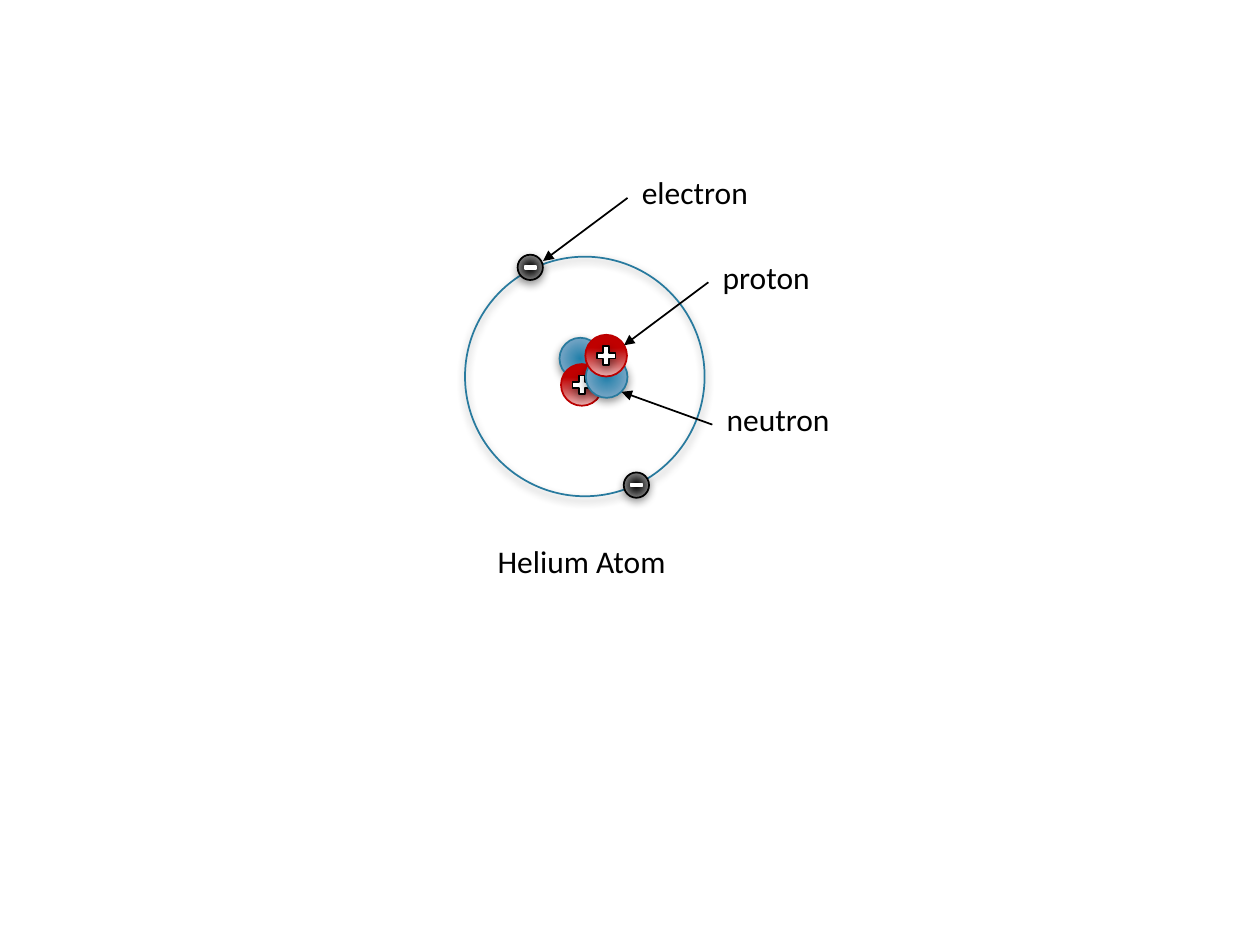
import pptx
import pptx.util
import pptx.dml.color
import pptx.enum.shapes
import pptx.enum.text
import pptx.oxml.ns
from lxml import etree

Cm = pptx.util.Cm
Pt = pptx.util.Pt
RGBColor = pptx.dml.color.RGBColor
SHAPE = pptx.enum.shapes.MSO_SHAPE
ALIGN = pptx.enum.text.PP_ALIGN
qn = pptx.oxml.ns.qn

BLACK = RGBColor(0x00, 0x00, 0x00)
WHITE = RGBColor(0xFF, 0xFF, 0xFF)
BLUE_LINE = RGBColor(0x28, 0x7A, 0x9E)
RED_LINE = RGBColor(0xBC, 0x00, 0x00)
NEUTRON_STOPS = [(0, RGBColor(0x21, 0x80, 0xAA)), (69, RGBColor(0x75, 0xA5, 0xC5)),
                 (100, RGBColor(0xB8, 0xCC, 0xDC))]
PROTON_STOPS = [(31, RGBColor(0xC0, 0x00, 0x00)), (100, RGBColor(0xEC, 0xB3, 0xB3))]
ELECTRON_STOPS = [(0, BLACK), (69, RGBColor(0x7F, 0x7F, 0x7F)),
                  (100, RGBColor(0xBD, 0xBD, 0xBD))]

NUCLEON_SIZE = 0.84
ELECTRON_SIZE = 0.51
ORBIT_SIZE = 4.83


def add_child(parent, tag, **attributes):
    values = {name: str(value) for name, value in attributes.items()}
    return etree.SubElement(parent, qn(tag), values)


def add_shadow(shape):
    effects = shape._element.spPr.find(qn("a:effectLst"))
    shadow = add_child(effects, "a:outerShdw", blurRad=Pt(5), dist=Pt(2),
                       dir=90 * 60000, rotWithShape=0)
    color = add_child(shadow, "a:srgbClr", val=BLACK)
    add_child(color, "a:alpha", val=40000)


def set_gradient(shape, stops, radial):
    shape.fill.gradient()
    gradient = shape._element.spPr.find(qn("a:gradFill"))
    for child in list(gradient):
        gradient.remove(child)
    stop_list = add_child(gradient, "a:gsLst")
    for percent, color in stops:
        stop = add_child(stop_list, "a:gs", pos=percent * 1000)
        add_child(stop, "a:srgbClr", val=color)
    if radial:
        circle = add_child(gradient, "a:path", path="circle")
        add_child(circle, "a:fillToRect", l=100000, t=100000, r=100000, b=100000)
    else:
        add_child(gradient, "a:lin", ang=90 * 60000, scaled=0)


def add_centred(page, kind, center, width, height, line_color, shadow=True):
    x, y = center
    shape = page.shapes.add_shape(kind, Cm(x - width / 2), Cm(y - height / 2),
                                  Cm(width), Cm(height))
    shape.shadow.inherit = False
    shape.fill.background()
    shape.line.color.rgb = line_color
    shape.line.width = Pt(1)
    if shadow:
        add_shadow(shape)
    return shape


def add_sign(page, kind, center, width, height, line_color):
    sign = add_centred(page, kind, center, width, height, line_color)
    sign.fill.solid()
    sign.fill.fore_color.rgb = WHITE


def add_neutron(page, center):
    ball = add_centred(page, SHAPE.OVAL, center, NUCLEON_SIZE, NUCLEON_SIZE, BLUE_LINE)
    set_gradient(ball, NEUTRON_STOPS, radial=True)


def add_proton(page, center):
    ball = add_centred(page, SHAPE.OVAL, center, NUCLEON_SIZE, NUCLEON_SIZE, RED_LINE,
                       shadow=False)
    set_gradient(ball, PROTON_STOPS, radial=False)
    add_sign(page, SHAPE.MATH_PLUS, center, 0.51, 0.51, BLACK)


def add_electron(page, center):
    ball = add_centred(page, SHAPE.OVAL, center, ELECTRON_SIZE, ELECTRON_SIZE, BLACK)
    set_gradient(ball, ELECTRON_STOPS, radial=True)
    add_sign(page, SHAPE.MATH_MINUS, center, 0.3, 0.25, WHITE)


def add_text(page, text, left, top, width, alignment=ALIGN.LEFT):
    box = page.shapes.add_textbox(Cm(left), Cm(top), Cm(width), Cm(1.02))
    frame = box.text_frame
    frame.word_wrap = True
    frame.auto_size = pptx.enum.text.MSO_AUTO_SIZE.SHAPE_TO_FIT_TEXT
    para = frame.paragraphs[0]
    para.alignment = alignment
    span = para.add_run()
    span.text = text
    span.font.name = "Calibri"
    span.font.size = Pt(18)
    span.font.color.rgb = BLACK


def add_callout(page, text, start, end):
    arrow = page.shapes.add_connector(pptx.enum.shapes.MSO_CONNECTOR.STRAIGHT,
                                      *map(Cm, start), *map(Cm, end))
    arrow.line.color.rgb = BLACK
    arrow.line.width = Pt(1)
    add_child(arrow.line._get_or_add_ln(), "a:tailEnd", type="triangle")
    add_child(arrow._element.spPr, "a:effectLst")
    add_text(page, text, start[0] + 0.04, start[1] - 0.62, 3.68)


def main():
    deck = pptx.Presentation()
    deck.slide_width = Cm(25.4)
    deck.slide_height = Cm(19.05)
    page = deck.slides.add_slide(deck.slide_layouts[6])

    add_neutron(page, (11.7, 7.23))
    add_proton(page, (11.73, 7.76))
    add_neutron(page, (12.23, 7.6))
    add_proton(page, (12.22, 7.17))
    add_centred(page, SHAPE.OVAL, (11.79, 7.59), ORBIT_SIZE, ORBIT_SIZE, BLUE_LINE)
    add_electron(page, (12.83, 9.78))
    add_electron(page, (10.69, 5.39))

    add_callout(page, "electron", (12.65, 3.99), (10.95, 5.26))
    add_callout(page, "proton", (14.28, 5.69), (12.58, 6.96))
    add_callout(page, "neutron", (14.36, 8.56), (12.53, 7.9))
    add_text(page, "Helium Atom", 9.53, 10.8, 4.39, ALIGN.CENTER)

    deck.save("out.pptx")


if __name__ == "__main__":
    main()
